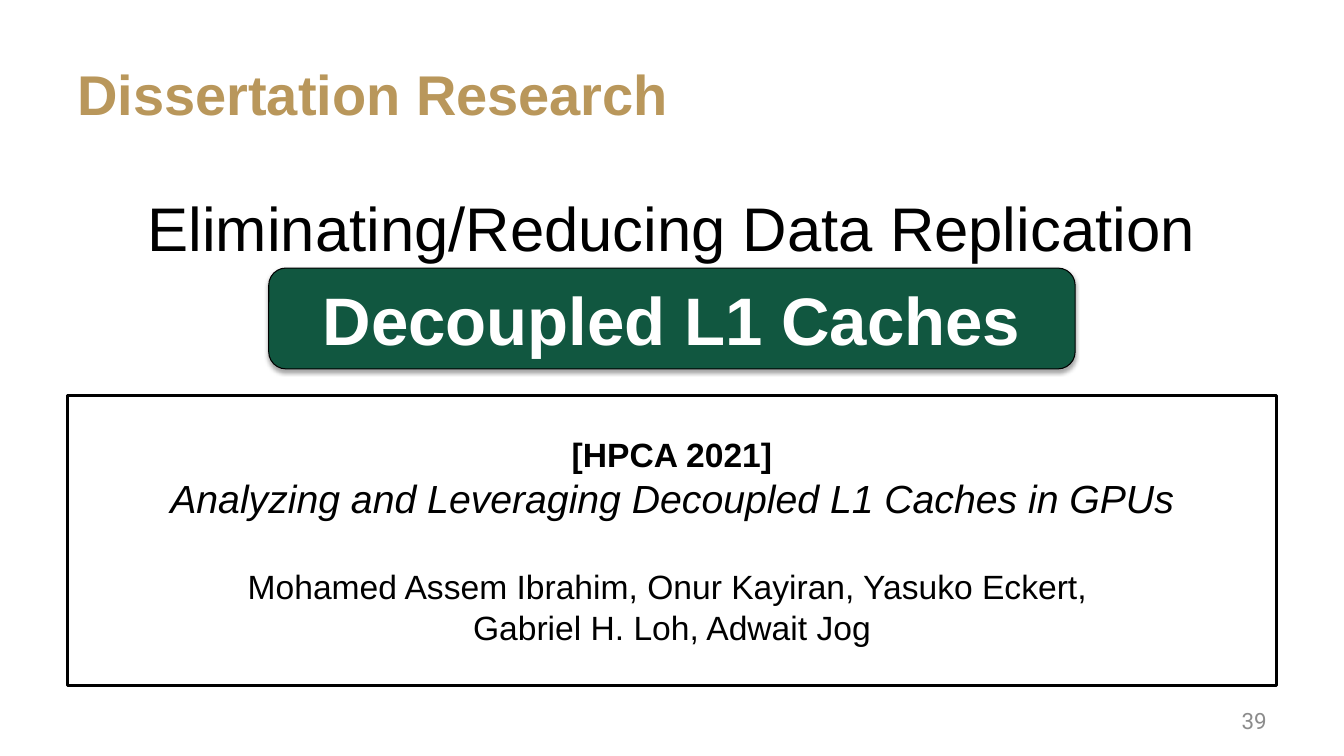
from dataclasses import dataclass

from lxml.etree import SubElement
from pptx import Presentation
from pptx.dml.color import RGBColor
from pptx.enum.shapes import MSO_SHAPE
from pptx.enum.text import MSO_ANCHOR, MSO_AUTO_SIZE, PP_ALIGN
from pptx.oxml.ns import qn
from pptx.util import Pt


@dataclass(frozen=True)
class Theme:
    gold: str = "B9975B"
    green: str = "115740"
    black: str = "000000"
    white: str = "FFFFFF"
    grey: str = "8C8C8C"
    font: str = "Arial"
    number_font: str = "Roboto"
    title: int = 40
    headline: int = 44
    banner: int = 48
    paper: int = 28
    detail: int = 24
    number: int = 16


class SlideBuilder:
    def __init__(self, deck, theme):
        self.theme = theme
        self.page = deck.slides.add_slide(deck.slide_layouts[5])

    def prepare(self, box, anchor):
        frame = box.text_frame
        frame.word_wrap = True
        frame.auto_size = MSO_AUTO_SIZE.NONE
        frame.vertical_anchor = anchor
        return frame

    def add_span(self, para, text, size, color, align=PP_ALIGN.CENTER,
                 bold=False, italic=False, font=None):
        para.alignment = align
        span = para.add_run()
        span.text = text
        span.font.name = font or self.theme.font
        span.font.size = Pt(size)
        span.font.bold = bold
        span.font.italic = italic
        span.font.color.rgb = RGBColor.from_string(color)

    def title(self, text, left, top, width, height):
        box = self.page.shapes.title
        box.left, box.top, box.width, box.height = map(Pt, (left, top, width, height))
        frame = self.prepare(box, MSO_ANCHOR.MIDDLE)
        self.add_span(frame.paragraphs[0], text, self.theme.title, self.theme.gold,
                      PP_ALIGN.LEFT, bold=True)

    def label(self, text, left, top, width, height, size, color,
              anchor=MSO_ANCHOR.TOP, **style):
        box = self.page.shapes.add_textbox(*map(Pt, (left, top, width, height)))
        frame = self.prepare(box, anchor)
        self.add_span(frame.paragraphs[0], text, size, color, **style)

    def panel(self, left, top, width, height, fill, line_width, rounding):
        """Add an outlined box and return it with its text frame."""
        box = self.page.shapes.add_shape(
            MSO_SHAPE.ROUNDED_RECTANGLE, *map(Pt, (left, top, width, height)))
        box.adjustments[0] = rounding
        box.shadow.inherit = False
        box.fill.solid()
        box.fill.fore_color.rgb = RGBColor.from_string(fill)
        box.line.color.rgb = RGBColor.from_string(self.theme.black)
        box.line.width = Pt(line_width)
        return box, self.prepare(box, MSO_ANCHOR.MIDDLE)

    def drop_shadow(self, box, blur, distance, opacity):
        effects = box.element.spPr.find(qn("a:effectLst"))
        shadow = SubElement(effects, qn("a:outerShdw"), blurRad=str(Pt(blur)),
                            dist=str(Pt(distance)), dir="5400000", rotWithShape="0")
        color = SubElement(shadow, qn("a:srgbClr"), val=self.theme.black)
        SubElement(color, qn("a:alpha"), val=str(opacity * 1000))


def main():
    deck = Presentation()
    deck.slide_width, deck.slide_height = Pt(960), Pt(540)
    theme = Theme()
    slide = SlideBuilder(deck, theme)
    margin, content_width = 48, 864

    slide.title("Dissertation Research", margin, 21.6, content_width, 90)
    slide.label("Eliminating/Reducing Data Replication", margin, 132, content_width, 60,
                theme.headline, theme.black)
    slide.label("39", 688, 500.5, 224, 28.75, theme.number, theme.grey,
                anchor=MSO_ANCHOR.MIDDLE, align=PP_ALIGN.RIGHT, font=theme.number_font)

    banner, banner_frame = slide.panel(192, 191.5, 576, 72, theme.green, 0.75, 0.17)
    slide.drop_shadow(banner, 3.1, 1.8, 35)
    slide.add_span(banner_frame.paragraphs[0], "Decoupled L1 Caches", theme.banner,
                   theme.white, bold=True)

    paper_lines = [
        ("[HPCA 2021]", theme.detail, 0, {"bold": True}),
        ("Analyzing and Leveraging Decoupled L1 Caches in GPUs", theme.paper, 0,
         {"italic": True}),
        ("Mohamed Assem Ibrahim, Onur Kayiran, Yasuko Eckert, ", theme.detail, 32, {}),
        ("Gabriel H. Loh, Adwait Jog", theme.detail, 0, {}),
    ]
    _, paper_frame = slide.panel(margin, 282.25, content_width, 207.5, theme.white, 2.25, 0)
    for index, (text, size, gap, style) in enumerate(paper_lines):
        para = paper_frame.add_paragraph() if index else paper_frame.paragraphs[0]
        if gap:
            para.space_before = Pt(gap)
        slide.add_span(para, text, size, theme.black, **style)

    deck.save("out.pptx")


if __name__ == "__main__":
    main()
